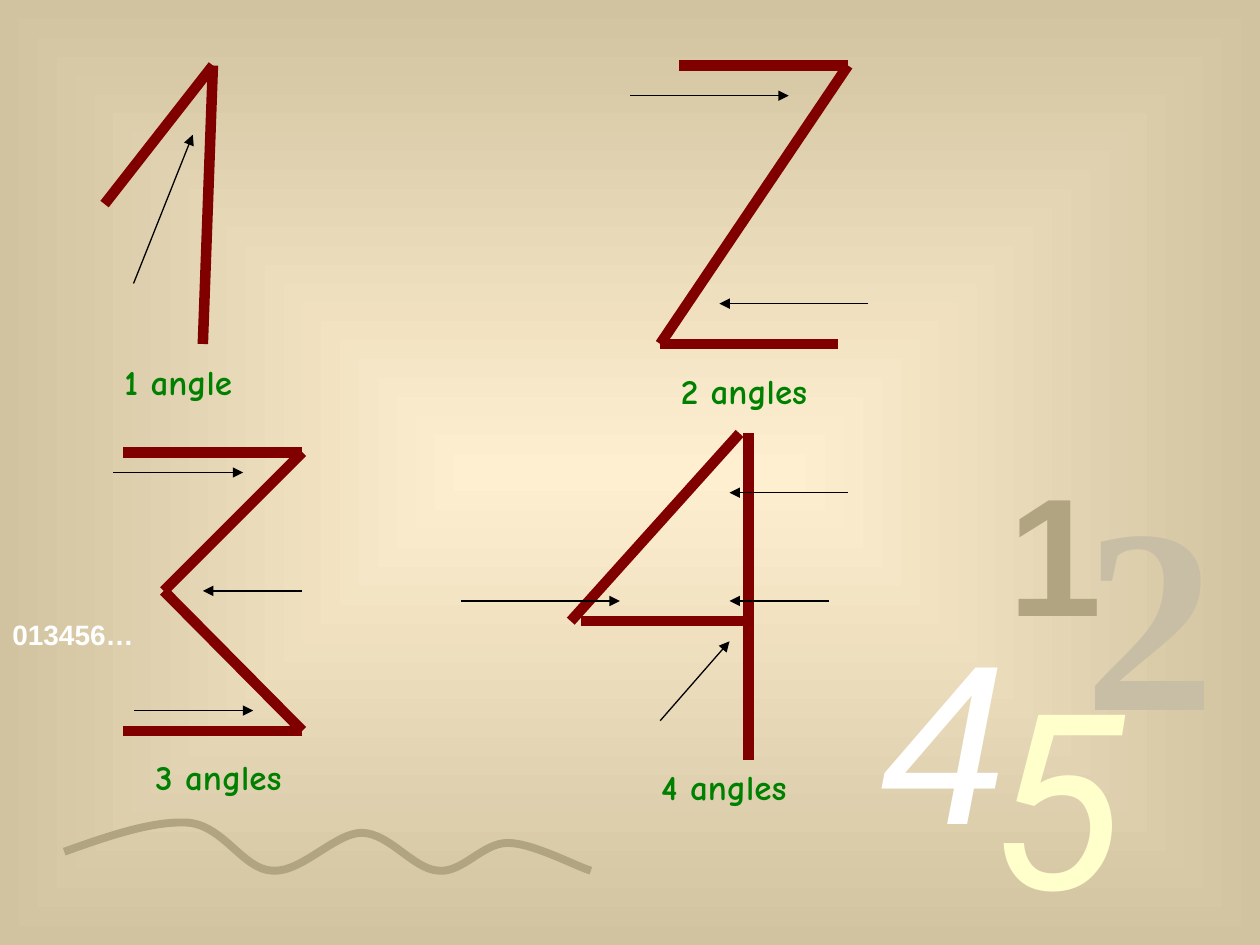
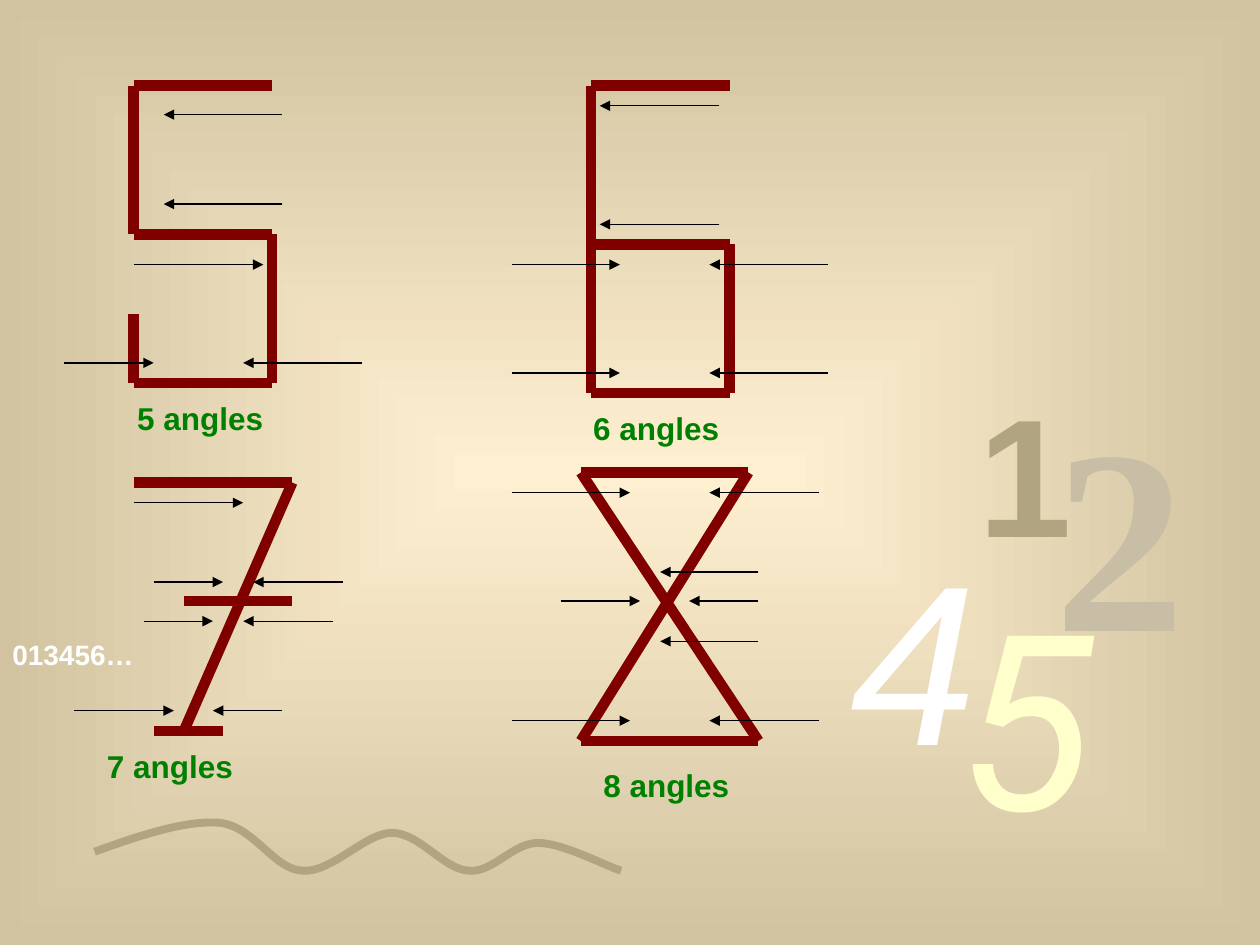
"""Build two slides that count the angles in the digits 1 to 8."""
from itertools import pairwise

from lxml.etree import SubElement
from pptx import Presentation
from pptx.dml.color import RGBColor
from pptx.enum.shapes import MSO_CONNECTOR
from pptx.enum.text import MSO_AUTO_SIZE, PP_ALIGN
from pptx.oxml.ns import qn
from pptx.util import Inches, Pt

COLORS = {
    "center": "FFEFD1", "edge": "D1C39F", "stroke": "800000", "arrow": "000000",
    "caption": "008000", "khaki": "B1A481", "stone": "C7BEA5", "white": "FFFFFF",
    "cream": "FFFFCC",
}

DECOR_DIGITS = [
    ("1", (7.91, 3.51, 0.87, 1.7), "Arial", 96, "khaki", {"bold": True}),
    ("2", (8.51, 3.51, 1.49, 2.6), "Times New Roman", 150, "stone", {"bold": True}),
    ("4", (6.89, 4.69, 1.65, 2.27), "Arial", 130, "white", {"italic": True}),
    ("5", (7.76, 5.07, 1.1, 2.44), "Roboto", 140, "cream", {"italic": True}),
]

WAVE = [
    (0.51, 6.76), (0.87, 6.63), (1.23, 6.51), (1.5, 6.53), (1.78, 6.56),
    (1.93, 6.9), (2.16, 6.91), (2.39, 6.93), (2.66, 6.61), (2.87, 6.61),
    (3.09, 6.61), (3.28, 6.9), (3.48, 6.91), (3.67, 6.93), (3.83, 6.69),
    (4.03, 6.69), (4.23, 6.69), (4.58, 6.88), (4.69, 6.91),
]


class AngleDeck:
    """Holds the shared style and the slide being drawn."""

    def __init__(self):
        self.prs = Presentation()
        self.prs.slide_width, self.prs.slide_height = Inches(10), Inches(7.5)
        self.slide = None
        self.paint_background()

    def color(self, name):
        return RGBColor.from_string(COLORS[name])

    def paint_background(self):
        master = self.prs.slide_master
        fill = master.background.fill
        fill.gradient()
        for stop, position, name in zip(fill.gradient_stops, (0, 1), ("center", "edge")):
            stop.position = position
            stop.color.rgb = self.color(name)
        gradient = master.element.find(".//" + qn("a:gradFill"))
        gradient.remove(gradient.find(qn("a:lin")))
        rings = SubElement(gradient, qn("a:path"), {"path": "rect"})
        sides = {side: "50000" for side in "ltrb"}
        SubElement(rings, qn("a:fillToRect"), sides)

    def new_slide(self, number_line_top, digit_shift, wave_shift):
        self.slide = self.prs.slides.add_slide(self.prs.slide_layouts[6])
        self.text("013456…", (0, number_line_top, 1.22, 0.37), "Arial", 16, "white", bold=True)
        dx, dy = digit_shift
        for digit, (left, top, width, height), font, size, color, emphasis in DECOR_DIGITS:
            self.text(digit, (left + dx, top + dy, width, height), font, size, color, **emphasis)
        self.wave(wave_shift)

    def text(self, words, box, font, size, color, bold=False, italic=False,
             align=None, wrap=True):
        frame = self.slide.shapes.add_textbox(*map(Inches, box)).text_frame
        frame.word_wrap = wrap
        frame.auto_size = MSO_AUTO_SIZE.SHAPE_TO_FIT_TEXT
        frame.text = words
        paragraph = frame.paragraphs[0]
        paragraph.alignment = align
        paragraph.space_before = Pt(size * 0.625)
        style = paragraph.runs[0].font
        style.name, style.size = font, Pt(size)
        style.bold, style.italic = bold, italic
        style.color.rgb = self.color(color)

    def wave(self, shift):
        start, *controls = [(Inches(x + shift), Inches(y)) for x, y in WAVE]
        builder = self.slide.shapes.build_freeform(*start)
        builder.add_line_segments(controls, close=False)
        ribbon = builder.convert_to_shape()
        ribbon.shadow.inherit = False
        ribbon.fill.background()
        ribbon.line.color.rgb = self.color("khaki")
        ribbon.line.width = Pt(4.5)
        outline = ribbon.element.find(".//" + qn("a:path"))
        segments = outline.findall(qn("a:lnTo"))
        for first in range(0, len(segments), 3):
            curve = SubElement(outline, qn("a:cubicBezTo"))
            for segment in segments[first:first + 3]:
                curve.append(segment[0])
                outline.remove(segment)

    def line(self, start, end, color, width):
        connector = self.slide.shapes.add_connector(
            MSO_CONNECTOR.STRAIGHT, *map(Inches, (*start, *end)))
        connector.line.color.rgb = self.color(color)
        connector.line.width = Pt(width)
        SubElement(connector.element.spPr, qn("a:effectLst"))
        return connector

    def strokes(self, *chains):
        for chain in chains:
            for start, end in pairwise(chain):
                self.line(start, end, "stroke", 6)

    def arrow(self, start, end):
        outline = self.line(start, end, "arrow", 0.75).line
        SubElement(outline._get_or_add_ln(), qn("a:tailEnd"), {"type": "triangle"})

    def level_arrows(self, *rows):
        for y, tail, head in rows:
            self.arrow((tail, y), (head, y))

    def round_caption(self, words, left, top):
        self.text(words, (left, top, 1.81, 0.44), "Comic Neue", 20, "caption",
                  bold=True, align=PP_ALIGN.CENTER)

    def plain_caption(self, words, left, top):
        self.text(words, (left, top, 1.2, 0.4), "Arial", 18, "caption",
                  bold=True, wrap=False)


def draw_one_to_four(deck):
    """Draw the digits 1 to 4 with their angles."""
    deck.new_slide(4.85, digit_shift=(0, 0), wave_shift=0)

    deck.strokes([(0.83, 1.62), (1.69, 0.52), (1.61, 2.73)])
    deck.arrow((1.06, 2.25), (1.53, 1.07))
    deck.round_caption("1 angle", 0.51, 2.81)

    deck.strokes([(5.39, 0.52), (6.73, 0.52), (5.24, 2.73), (6.65, 2.73)])
    deck.level_arrows((0.76, 5, 6.26), (2.41, 6.89, 5.71))
    deck.round_caption("2 angles", 5, 2.88)

    deck.strokes([(0.98, 3.59), (2.4, 3.59), (1.3, 4.69), (2.4, 5.8), (0.98, 5.8)])
    deck.level_arrows((3.75, 0.9, 1.93), (4.69, 2.4, 1.61), (5.64, 1.06, 2.01))
    deck.round_caption("3 angles", 0.83, 5.95)

    deck.strokes([(5.94, 3.44), (5.94, 6.03)], [(5.94, 4.93), (4.61, 4.93)],
                 [(5.87, 3.44), (4.53, 4.93)])
    deck.level_arrows((3.91, 6.73, 5.79), (4.77, 3.66, 4.92), (4.77, 6.58, 5.79))
    deck.arrow((5.24, 5.72), (5.79, 5.09))
    deck.round_caption("4 angles", 4.84, 6.03)


def draw_five_to_eight(deck):
    """Draw the digits 5 to 8 with their angles."""
    deck.new_slide(5.01, digit_shift=(-0.24, -0.63), wave_shift=0.24)

    deck.strokes([(2.16, 0.68), (1.06, 0.68), (1.06, 1.86), (2.16, 1.86),
                  (2.16, 3.04), (1.06, 3.04), (1.06, 2.49)])
    deck.level_arrows((0.91, 2.24, 1.3), (1.62, 2.24, 1.3), (2.1, 1.06, 2.09),
                      (2.88, 2.87, 1.93), (2.88, 0.51, 1.22))
    deck.plain_caption("5 angles", 0.99, 3.12)

    deck.strokes([(5.79, 0.68), (4.69, 0.68), (4.69, 3.12), (5.79, 3.12),
                  (5.79, 1.94), (4.69, 1.94)])
    for y in (0.84, 1.78):
        deck.level_arrows((y, 5.71, 4.76))
    for y in (2.1, 2.96):
        deck.level_arrows((y, 4.06, 4.92), (y, 6.57, 5.63))
    deck.plain_caption("6 angles", 4.61, 3.2)

    deck.strokes([(1.06, 3.83), (2.32, 3.83), (1.46, 5.8)],
                 [(1.46, 4.77), (2.32, 4.77)], [(1.22, 5.8), (1.77, 5.8)])
    deck.level_arrows((3.99, 1.06, 1.93), (4.62, 1.22, 1.77), (4.62, 2.72, 2.01),
                      (4.93, 1.14, 1.69), (4.93, 2.64, 1.93),
                      (5.64, 0.59, 1.38), (5.64, 2.24, 1.69))
    deck.plain_caption("7 angles", 0.75, 5.88)

    deck.strokes([(4.61, 3.75), (5.94, 3.75), (4.61, 5.88), (6.02, 5.88), (4.61, 3.75)])
    for y in (3.91, 5.72):
        deck.level_arrows((y, 4.06, 5), (y, 6.5, 5.63))
    for y in (4.54, 5.09):
        deck.level_arrows((y, 6.02, 5.24))
    deck.level_arrows((4.77, 4.45, 5.08), (4.77, 6.02, 5.47))
    deck.plain_caption("8 angles", 4.69, 6.03)


deck = AngleDeck()
draw_one_to_four(deck)
draw_five_to_eight(deck)
deck.prs.save("out.pptx")
